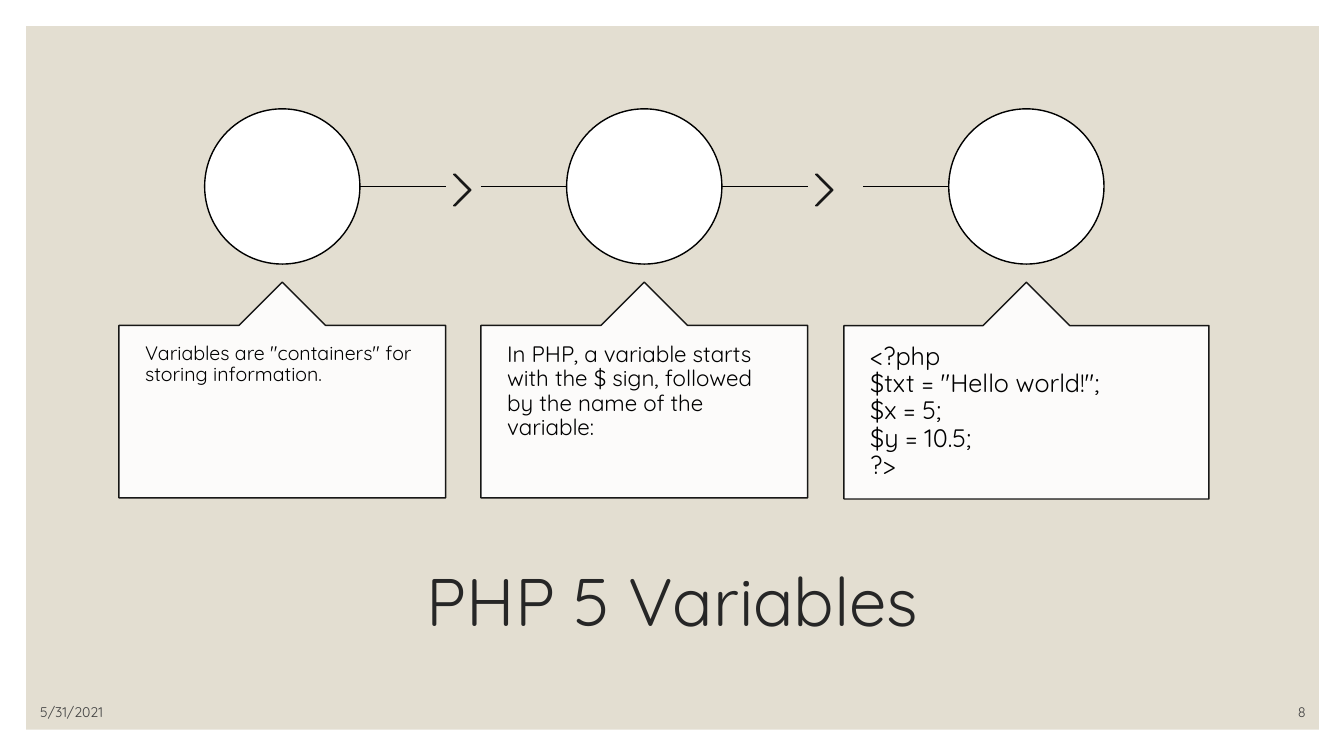
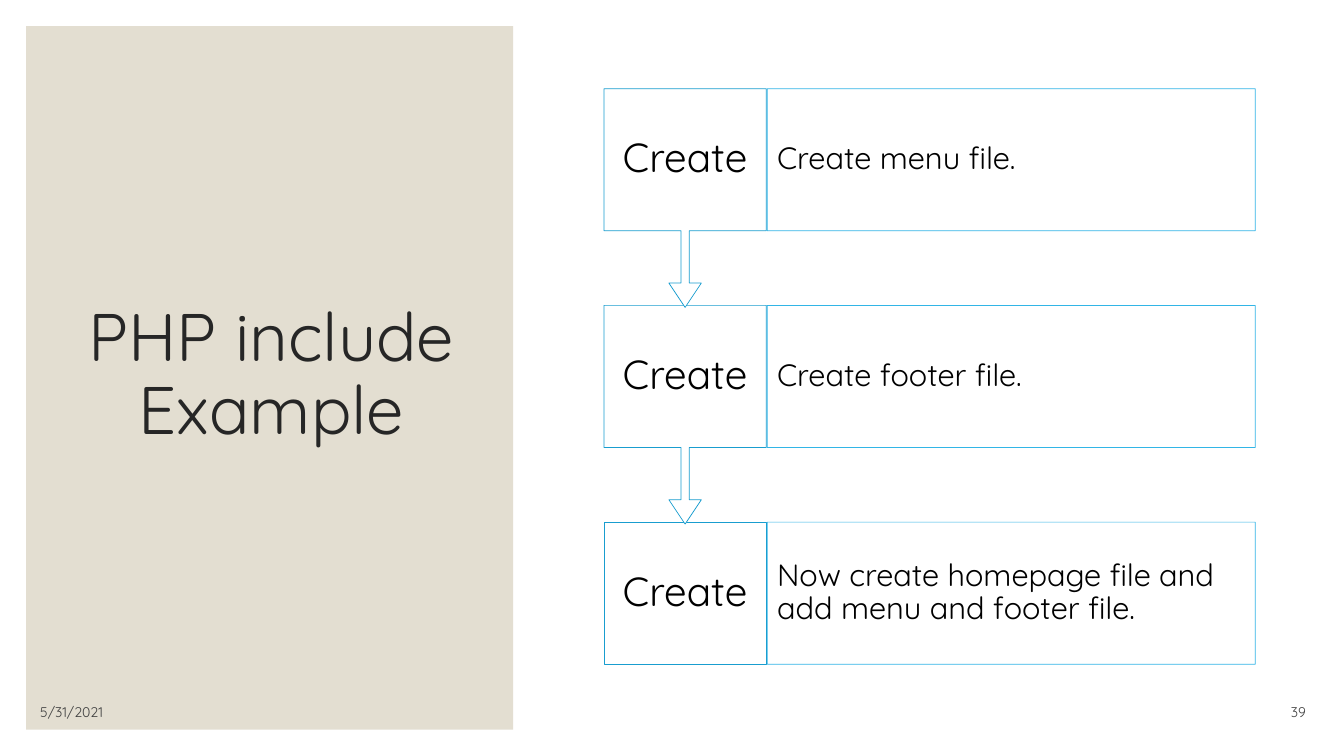
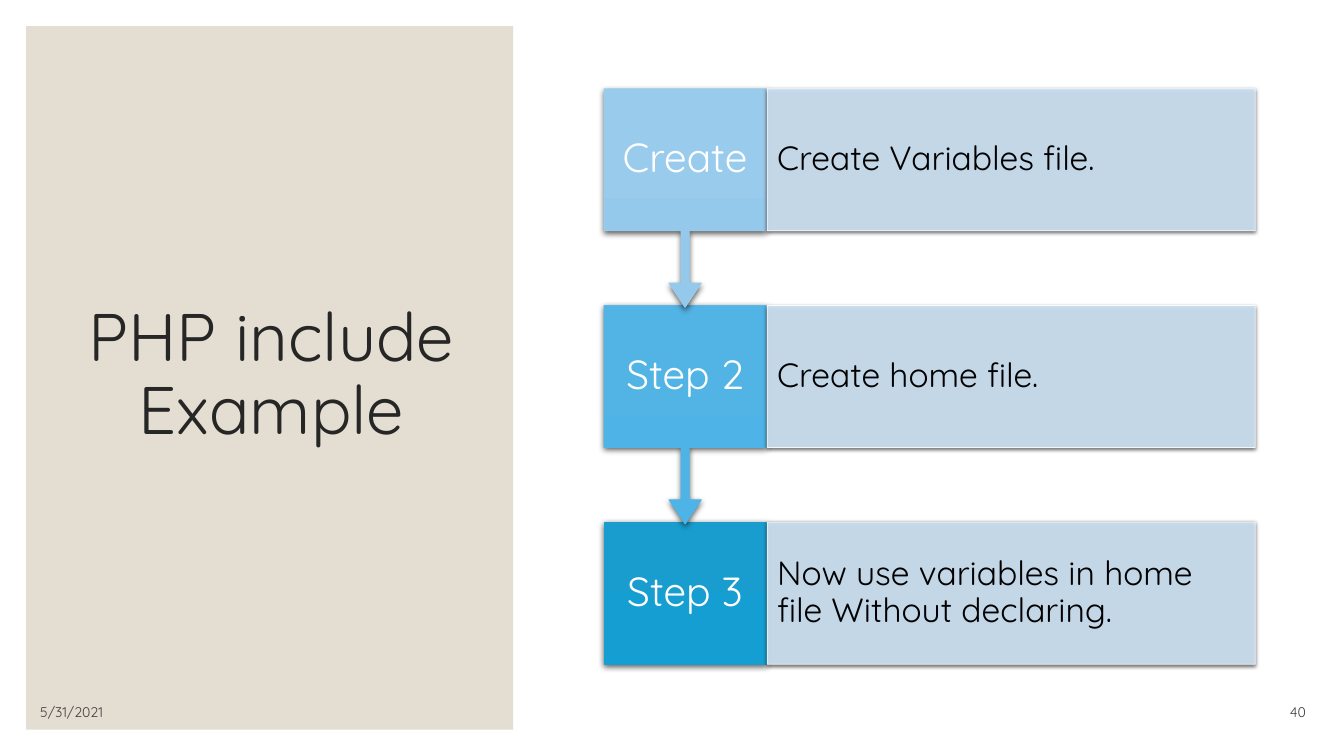
"""Build three slides on PHP variables and include files."""
from dataclasses import dataclass
from typing import Any

from lxml import etree
from pptx import Presentation
from pptx import util as u
from pptx.dml.color import RGBColor
from pptx.enum import shapes, text
from pptx.oxml import ns

Inches, Pt = u.Inches, u.Pt
Kind, Align, Anchor = shapes.MSO_SHAPE, text.PP_ALIGN, text.MSO_ANCHOR

FONT = "Quicksand"
BLACK, WHITE, SAND = "000000", "FFFFFF", "E3DED1"
TITLE_INK, FOOTER_INK = "262626", "404040"
MARGIN, BAND_HEIGHT = 0.26, 6.98
DATE = "5/31/2021"


@dataclass(frozen=True)
class Frame:
    left: float
    top: float
    width: float
    height: float

    @property
    def right(self) -> float:
        return self.left + self.width

    @property
    def lengths(self) -> list[int]:
        return [Inches(n) for n in (self.left, self.top, self.width, self.height)]


@dataclass(frozen=True)
class Look:
    fills: tuple[str, ...]
    line: str | None = None
    weight: float = 1
    opacity: int = 100
    shadow: float = 0


@dataclass(frozen=True)
class Type:
    size: float
    ink: str = BLACK
    align: Any = Align.LEFT
    anchor: Any = Anchor.MIDDLE
    inset_x: float = 0.1
    inset_y: float = 0.05
    spacing: float = 0.9


@dataclass(frozen=True)
class Stage:
    left: float
    width: float
    height: float
    size: float
    words: str
    line_start: float
    line_end: float


@dataclass(frozen=True)
class Step:
    label: str
    detail: str
    look: Look


TITLE_TYPE = Type(48, TITLE_INK, Align.CENTER)
GLASS = Look((WHITE,), BLACK, opacity=90)
OUTLINE = Look((WHITE,), "199DCF", 0.5)
OUTLINE_DETAIL = Look((WHITE,), "1CADE4", 0.5, opacity=90)
TINTED_DETAIL = Look(("CDE3F5",), WHITE, 0.5, opacity=90, shadow=3)


def shaded(top: str, bottom: str) -> Look:
    return Look((top, bottom), top, 0.5, shadow=4.5)


STAGES = [
    Stage(1.18, 3.24, 2.14, 14, 'Variables are "containers" for storing information.',
          2.98, 4.42),
    Stage(4.77, 3.24, 2.14, 16, "In PHP, a variable starts with the $ sign, "
          "followed by the name of the variable:", 4.77, 8.01),
    Stage(8.37, 3.62, 2.15, 18,
          '<?php\n$txt = "Hello world!";\n$x = 5;\n$y = 10.5;\n?>', 8.56, 10.18),
]
INCLUDE_STEPS = [
    Step("Create", "Create menu file.", OUTLINE),
    Step("Create", "Create footer file.", OUTLINE),
    Step("Create", "Now create homepage file and add menu and footer file.", OUTLINE),
]
VARIABLE_STEPS = [
    Step("Create", "Create Variables file.", shaded("99CBEC", "95C9EC")),
    Step("Step 2", "Create home file.", shaded("52B3E5", "4EB3E6")),
    Step("Step 3", "Now use variables in home file Without declaring.",
         shaded("199DCF", "159ED2")),
]


def colour(value: str) -> RGBColor:
    return RGBColor.from_string(value)


def write(sp: Any, words: str, style: Type) -> None:
    tf = sp.text_frame
    tf.word_wrap, tf.auto_size = True, text.MSO_AUTO_SIZE.NONE
    tf.vertical_anchor = style.anchor
    tf.margin_left = tf.margin_right = Inches(style.inset_x)
    tf.margin_top = tf.margin_bottom = Inches(style.inset_y)
    p = tf.paragraphs[0]
    p.text, p.alignment, p.line_spacing = words, style.align, style.spacing
    p.font.name, p.font.size = FONT, Pt(style.size)
    p.font.color.rgb = colour(style.ink)


def set_opacity(sp: Any, percent: int) -> None:
    for clr in sp.element.spPr.iter(ns.qn("a:srgbClr")):
        etree.SubElement(clr, ns.qn("a:alpha"), val=str(percent * 1000))


def cast_shadow(sp: Any, blur: float) -> None:
    effects = sp.element.spPr.find(ns.qn("a:effectLst"))
    outer = etree.SubElement(
        effects, ns.qn("a:outerShdw"), blurRad=str(Pt(blur)), dist=str(Pt(blur / 3)),
        dir="5400000", algn="ctr", rotWithShape="0")
    clr = etree.SubElement(outer, ns.qn("a:srgbClr"), val=BLACK)
    etree.SubElement(clr, ns.qn("a:alpha"), val="63000")


def add_box(s: Any, kind: Any, frame: Frame, look: Look,
            adjustments: tuple[float, ...] = ()) -> Any:
    sp = s.shapes.add_shape(kind, *frame.lengths)
    sp.shadow.inherit = False
    for i, value in enumerate(adjustments):
        sp.adjustments[i] = value
    if len(look.fills) > 1:
        sp.fill.gradient()
        sp.fill.gradient_angle = 270
        for stop, value in zip(sp.fill.gradient_stops, look.fills):
            stop.color.rgb = colour(value)
    else:
        sp.fill.solid()
        sp.fill.fore_color.rgb = colour(look.fills[0])
    if look.line:
        sp.line.color.rgb = colour(look.line)
        sp.line.width = Pt(look.weight)
    else:
        sp.line.fill.background()
    if look.opacity < 100:
        set_opacity(sp, look.opacity)
    if look.shadow:
        cast_shadow(sp, look.shadow)
    return sp


def add_line(s: Any, start: float, end: float, y: float) -> None:
    line = s.shapes.add_connector(shapes.MSO_CONNECTOR.STRAIGHT, Inches(start), Inches(y),
                                  Inches(end), Inches(y))
    line.line.color.rgb = colour(BLACK)
    line.line.width = Pt(1)
    etree.SubElement(line.element.spPr, ns.qn("a:effectLst"))


def add_slide(prs: Any, title: str, title_frame: Frame, band_width: float,
              number: int) -> Any:
    s = prs.slides.add_slide(prs.slide_layouts[5])
    sp = s.shapes.title
    sp.left, sp.top, sp.width, sp.height = title_frame.lengths
    write(sp, title, TITLE_TYPE)
    band = add_box(s, Kind.RECTANGLE, Frame(MARGIN, MARGIN, band_width, BAND_HEIGHT),
                   Look((SAND,)))
    sp.element.addprevious(band.element)
    for left, width, words, align in ((0.3, 3, DATE, Align.LEFT),
                                      (11.45, 1.6, str(number), Align.RIGHT)):
        footer = s.shapes.add_textbox(*Frame(left, 6.9, width, 0.3).lengths)
        write(footer, words, Type(10, FOOTER_INK, align, Anchor.BOTTOM, spacing=1))
    return s


def add_stages(s: Any, stages: list[Stage]) -> None:
    diameter, circle_top, box_top, line_y = 1.54, 1.08, 2.8, 1.85
    for i, stage in enumerate(stages):
        box = Frame(stage.left, box_top, stage.width, stage.height)
        add_line(s, stage.line_start, stage.line_end, line_y)
        if i < len(stages) - 1:
            add_box(s, Kind.CHEVRON, Frame(box.right + 0.08, 1.73, 0.17, 0.31), GLASS, (0.9,))
        circle_left = box.left + (box.width - diameter) / 2
        add_box(s, Kind.OVAL, Frame(circle_left, circle_top, diameter, diameter),
                Look((WHITE,), BLACK))
        sp = add_box(s, Kind.UP_ARROW_CALLOUT, box, GLASS, (0.5, 0.2, 0.2, 1))
        write(sp, stage.words, Type(stage.size, anchor=Anchor.TOP, inset_x=0.26, inset_y=0.18))


def add_steps(s: Any, steps: list[Step], ink: str, detail_look: Look,
              detail_type: Type) -> None:
    left, top, pitch, width, height, arrow_height = 5.99, 0.88, 2.15, 1.61, 1.41, 2.17
    label_type = Type(29, ink, Align.CENTER, inset_x=0.11, inset_y=0.23)
    for i, step in reversed(list(enumerate(steps))):
        y = top + i * pitch
        if i == len(steps) - 1:
            sp = add_box(s, Kind.RECTANGLE, Frame(left, y, width, height), step.look)
        else:
            sp = add_box(s, Kind.DOWN_ARROW_CALLOUT, Frame(left, y, width, arrow_height),
                         step.look, (0.05, 0.1, 0.15, 0.65))
        write(sp, step.label, label_type)
        sp = add_box(s, Kind.RECTANGLE, Frame(7.61, y, 4.84, height), detail_look)
        write(sp, step.detail, detail_type)


def main() -> None:
    prs = Presentation()
    prs.slide_width, prs.slide_height = Inches(13.33), Inches(7.5)

    s = add_slide(prs, "PHP 5 Variables", Frame(1.17, 5.25, 11, 1.5), 12.82, 8)
    add_stages(s, STAGES)

    side_title = ("PHP include Example", Frame(0.63, 0.61, 4.12, 6.24), 4.83)
    s = add_slide(prs, *side_title, 39)
    add_steps(s, INCLUDE_STEPS, BLACK, OUTLINE_DETAIL, Type(22, inset_y=0.31))
    s = add_slide(prs, *side_title, 40)
    add_steps(s, VARIABLE_STEPS, WHITE, TINTED_DETAIL, Type(24, inset_y=0.33))

    prs.save("out.pptx")


if __name__ == "__main__":
    main()
